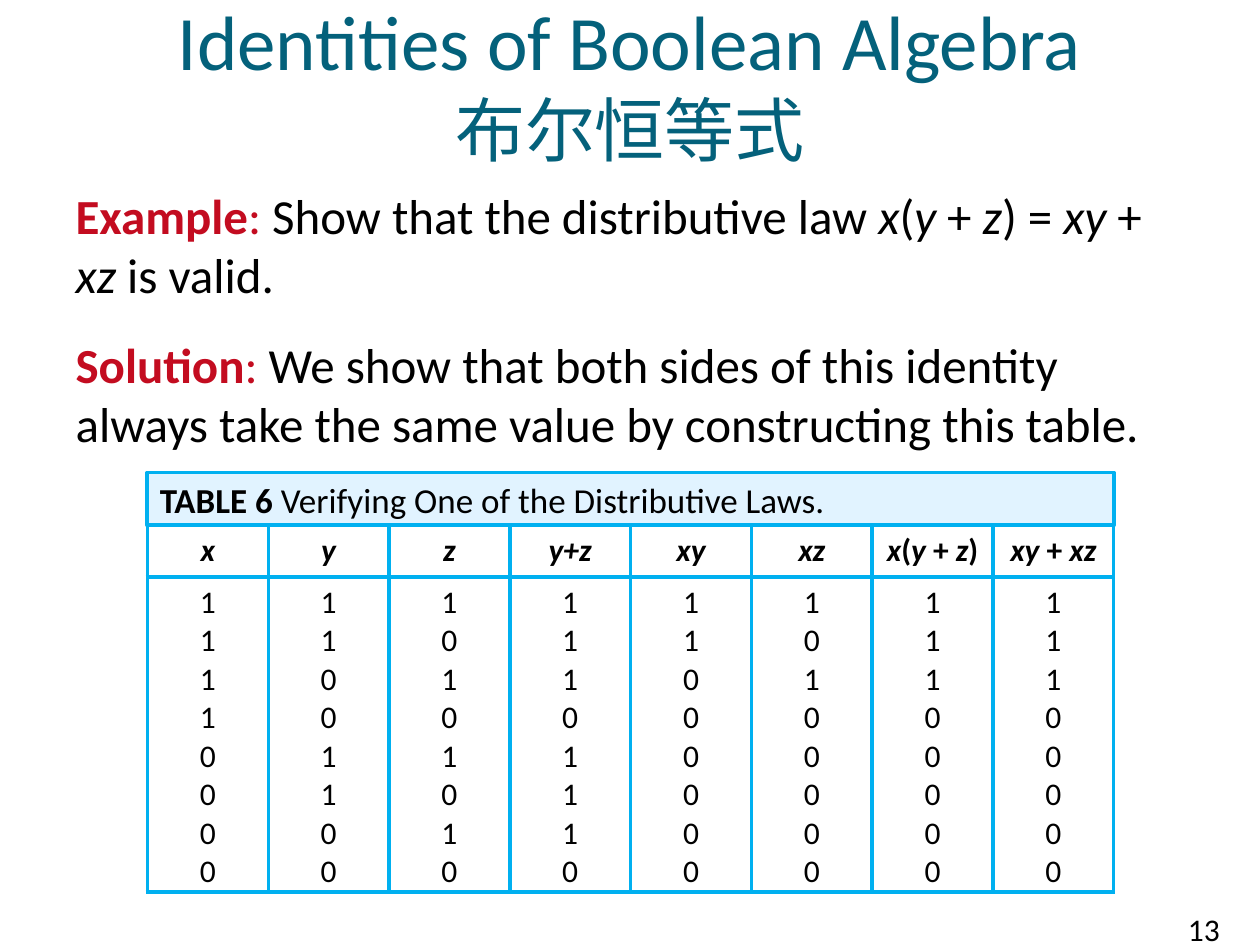
from itertools import groupby, product

from lxml.etree import SubElement
from pptx import Presentation
from pptx.dml.color import RGBColor
from pptx.enum.shapes import MSO_SHAPE
from pptx.enum.text import MSO_ANCHOR, MSO_AUTO_SIZE, PP_ALIGN
from pptx.oxml.ns import qn
from pptx.util import Inches, Pt

COLORS = {"title": "04617B", "key": "C30C20", "text": "000000",
          "line": "00B0F0", "caption": "E1F3FF", "cell": "FFFFFF"}
FONT = "Calibri"
LINE_WIDTH = Pt(2.25)
TABLE_LEFT, TABLE_WIDTH = 1.17, 7.67
CAPTION_TOP, CAPTION_HEIGHT = 3.75, 0.42
ROW_HEIGHTS = (0.41, 2.5)

PLAIN, BOLD = {}, {"bold": True}
KEY = {"color": "key"}
KEY_BOLD = {"color": "key", "bold": True}
SPACED = {"space_before": Pt(12), "space_after": Pt(6)}
CENTERED = {"alignment": PP_ALIGN.CENTER}


def color(name):
    return RGBColor.from_string(COLORS[name])


def set_values(target, values):
    for name, value in values.items():
        setattr(target, name, value)


def place(shape, left, top, width, height):
    set_values(shape, {"left": Inches(left), "top": Inches(top),
                       "width": Inches(width), "height": Inches(height)})


def formula(text, **style):
    """Spans of a formula, with the letters in italics."""
    return [("".join(part), {"italic": is_letter, **style})
            for is_letter, part in groupby(text, str.isalpha)]


def add_spans(para, spans, size):
    for text, style in spans:
        values = {"name": FONT, "size": Pt(size), "bold": False,
                  "italic": False, **style}
        color_name = values.pop("color", "text")
        span = para.add_run()
        span.text = text
        set_values(span.font, values)
        span.font.color.rgb = color(color_name)


def fill_frame(frame, paragraphs, size, layout):
    """Write each list of spans as one paragraph."""
    for index, spans in enumerate(paragraphs):
        para = frame.add_paragraph() if index else frame.paragraphs[0]
        set_values(para, layout)
        add_spans(para, spans, size)


def remove_bullet(para):
    properties = para._p.get_or_add_pPr()
    properties.set("marL", "0")
    properties.set("indent", "0")
    SubElement(properties, qn("a:buNone"))


def add_title(page):
    title = page.shapes.title
    place(title, 0, 0, 10, 1.3)
    set_values(title.text_frame, {"vertical_anchor": MSO_ANCHOR.MIDDLE,
                                  "auto_size": MSO_AUTO_SIZE.NONE})
    para = title.text_frame.paragraphs[0]
    para.alignment = PP_ALIGN.CENTER
    style = {"color": "title"}
    add_spans(para, [("Identities of Boolean Algebra", style)], 44)
    para.add_line_break()
    add_spans(para, [("布尔恒等式", style)], 40)


def add_body(page):
    body = page.placeholders[1]
    place(body, 0.5, 1.42, 9, 2.25)
    body.text_frame.auto_size = MSO_AUTO_SIZE.NONE
    example = [("Example", KEY_BOLD), (": ", KEY),
               ("Show that the distributive law ", PLAIN),
               *formula("x(y + z) = xy + xz"), (" is valid.", PLAIN)]
    solution = [("Solution", KEY_BOLD), (": ", KEY),
                ("We show that both sides of this identity always take "
                 "the same value by constructing this table.", PLAIN)]
    fill_frame(body.text_frame, [example, solution], 28, SPACED)
    for para in body.text_frame.paragraphs:
        remove_bullet(para)


def add_caption(page):
    box = page.shapes.add_shape(
        MSO_SHAPE.RECTANGLE, Inches(TABLE_LEFT), Inches(CAPTION_TOP),
        Inches(TABLE_WIDTH), Inches(CAPTION_HEIGHT))
    box.shadow.inherit = False
    box.fill.solid()
    box.fill.fore_color.rgb = color("caption")
    box.line.color.rgb = color("line")
    box.line.width = LINE_WIDTH
    set_values(box.text_frame, {"vertical_anchor": MSO_ANCHOR.TOP,
                                "word_wrap": True})
    caption = [("TABLE 6", BOLD),
               (" Verifying One of the Distributive Laws.", PLAIN)]
    fill_frame(box.text_frame, [caption], 20,
               {"alignment": PP_ALIGN.LEFT, **SPACED})


def format_cell(cell):
    properties = cell._tc.get_or_add_tcPr()
    for side in ("lnL", "lnR", "lnT", "lnB"):
        border = SubElement(properties, qn(f"a:{side}"), w=str(LINE_WIDTH))
        fill = SubElement(border, qn("a:solidFill"))
        SubElement(fill, qn("a:srgbClr"), val=COLORS["line"])
    cell.fill.solid()
    cell.fill.fore_color.rgb = color("cell")


def add_truth_table(page):
    headers = [formula(text, bold=True) for text in ("x", "y", "z")]
    headers.append([("y+z", {"bold": True, "italic": True})])
    headers += [formula(text, bold=True)
                for text in ("xy", "xz", "x(y + z)", "xy + xz")]
    values = [(x, y, z, y | z, x & y, x & z, x & (y | z), x & y | x & z)
              for x, y, z in product((1, 0), repeat=3)]

    table = page.shapes.add_table(
        len(ROW_HEIGHTS), len(headers), Inches(TABLE_LEFT),
        Inches(CAPTION_TOP + CAPTION_HEIGHT), Inches(TABLE_WIDTH),
        Inches(sum(ROW_HEIGHTS))).table
    set_values(table, {"first_row": False, "horz_banding": False})
    for row, height in zip(table.rows, ROW_HEIGHTS):
        row.height = Inches(height)
    for index, (header, column) in enumerate(zip(headers, zip(*values))):
        digits = [[(str(value), PLAIN)] for value in column]
        for row, paragraphs in enumerate(([header], digits)):
            cell = table.cell(row, index)
            format_cell(cell)
            fill_frame(cell.text_frame, paragraphs, 18, CENTERED)


def add_page_number(page):
    box = page.shapes.add_textbox(0, 0, 0, 0)
    place(box, 9.33, 7.17, 0.67, 0.4)
    box.text_frame.word_wrap = True
    fill_frame(box.text_frame, [[("13", PLAIN)]], 18, {})


def main():
    deck = Presentation()
    set_values(deck, {"slide_width": Inches(10), "slide_height": Inches(7.5)})
    page = deck.slides.add_slide(deck.slide_layouts[1])
    add_page_number(page)
    add_title(page)
    add_body(page)
    add_caption(page)
    add_truth_table(page)
    deck.save("out.pptx")


if __name__ == "__main__":
    main()
